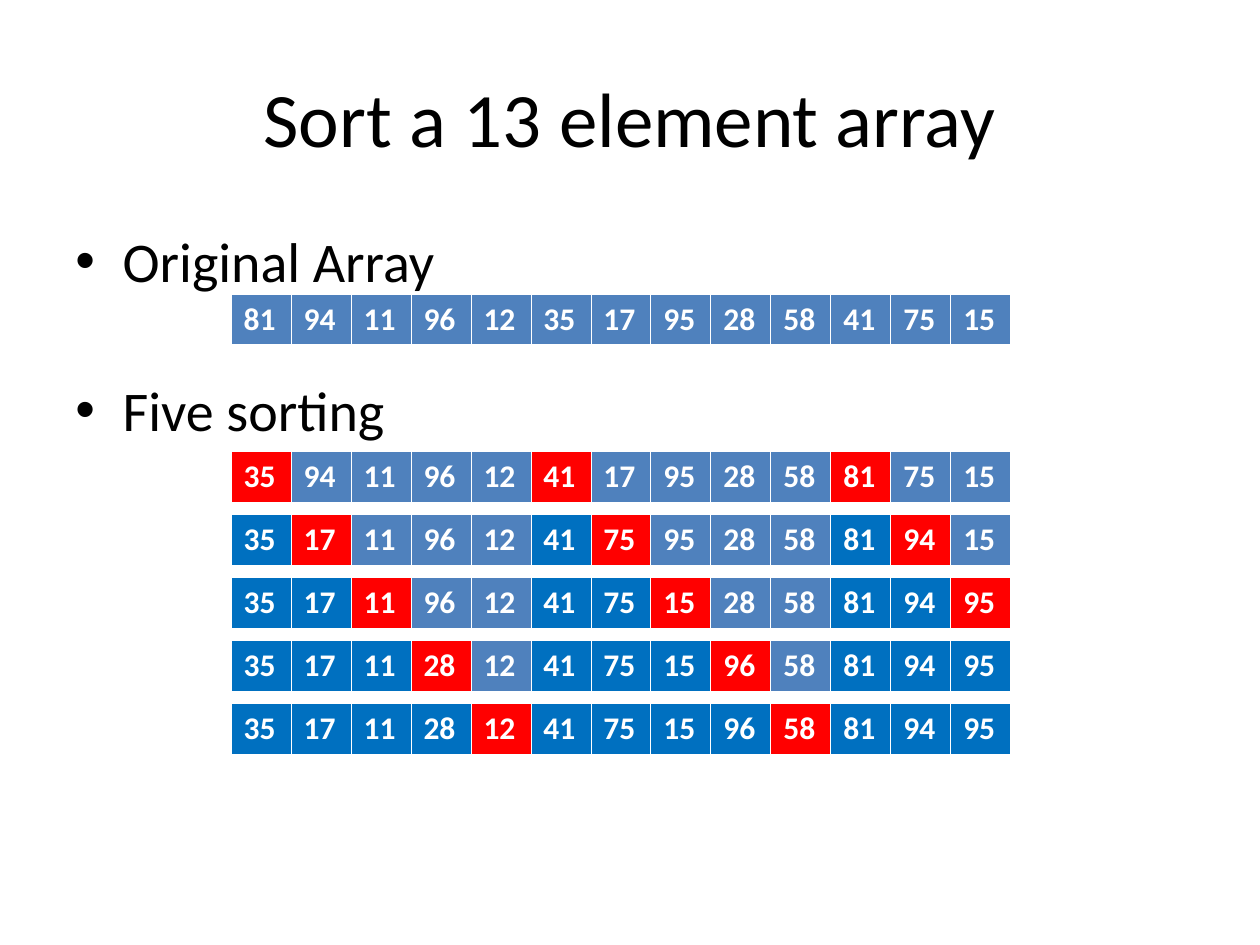
from lxml import etree
from pptx import Presentation
from pptx.dml.color import RGBColor
from pptx.enum import text
from pptx.oxml import ns
from pptx.util import Pt

COLORS = {
    "ink": "000000",
    "white": "FFFFFF",
    "waiting": "4F81BD",
    "active": "FF0000",
    "sorted": "0070C0",
}
GAP = 5
BORDERS = {"lnL": 0.45, "lnR": 0.45, "lnT": 0.45, "lnB": 1.47}


def add_run(paragraph, wording, size, color, bold=False):
    run = paragraph.add_run()
    run.text = wording
    run.font.name = "Calibri"
    run.font.size = Pt(size)
    run.font.bold = bold
    run.font.color.rgb = RGBColor.from_string(COLORS[color])


def add_array(slide, top, numbers, states):
    frame = slide.shapes.add_table(
        1, len(numbers), Pt(132), Pt(top), Pt(34.29 * len(numbers)), Pt(29.5))
    array = frame.table
    array.first_row = False
    array.horz_banding = False
    for column, number, state in zip(array.columns, numbers, states):
        column.width = Pt(34.29)
        cell = array.cell(0, numbers.index(number))
        add_run(cell.text_frame.paragraphs[0], str(number), 18, "white", True)
        properties = cell._tc.get_or_add_tcPr()
        for side, width in BORDERS.items():
            line = etree.SubElement(properties, ns.qn(f"a:{side}"), w=str(Pt(width)))
            fill = etree.SubElement(line, ns.qn("a:solidFill"))
            etree.SubElement(fill, ns.qn("a:srgbClr"), val=COLORS["white"])
        cell.fill.solid()
        cell.fill.fore_color.rgb = RGBColor.from_string(COLORS[state])


deck = Presentation()
deck.slide_width, deck.slide_height = Pt(720), Pt(540)
slide = deck.slides.add_slide(deck.slide_layouts[6])

title = slide.shapes.add_textbox(Pt(36), Pt(21.6), Pt(648), Pt(90)).text_frame
title.word_wrap = True
title.vertical_anchor = text.MSO_ANCHOR.MIDDLE
title.paragraphs[0].alignment = text.PP_ALIGN.CENTER
add_run(title.paragraphs[0], "Sort a 13 element array", 44, "ink")

outline = slide.shapes.add_textbox(Pt(36), Pt(126), Pt(648), Pt(356.4)).text_frame
outline.word_wrap = True
headings = [("Original Array", 1.0), ("Five sorting", 2.0)]
for index, (heading, spacing) in enumerate(headings):
    paragraph = outline.add_paragraph() if index else outline.paragraphs[0]
    paragraph.space_before = Pt(8)
    paragraph.line_spacing = spacing
    properties = paragraph._p.get_or_add_pPr()
    properties.set("marL", str(Pt(27)))
    properties.set("indent", str(Pt(-27)))
    etree.SubElement(properties, ns.qn("a:buFont"), typeface="Arial")
    etree.SubElement(properties, ns.qn("a:buChar"), char="•")
    add_run(paragraph, heading, 32, "ink")

numbers = [81, 94, 11, 96, 12, 35, 17, 95, 28, 58, 41, 75, 15]
add_array(slide, 168, numbers, ["waiting"] * len(numbers))

for step in range(GAP):
    numbers[step::GAP] = sorted(numbers[step::GAP])
    cycle = ["sorted"] * step + ["active"] + ["waiting"] * (GAP - step - 1)
    states = [cycle[index % GAP] for index in range(len(numbers))]
    add_array(slide, 258 + 36 * step, numbers, states)

deck.save("out.pptx")
